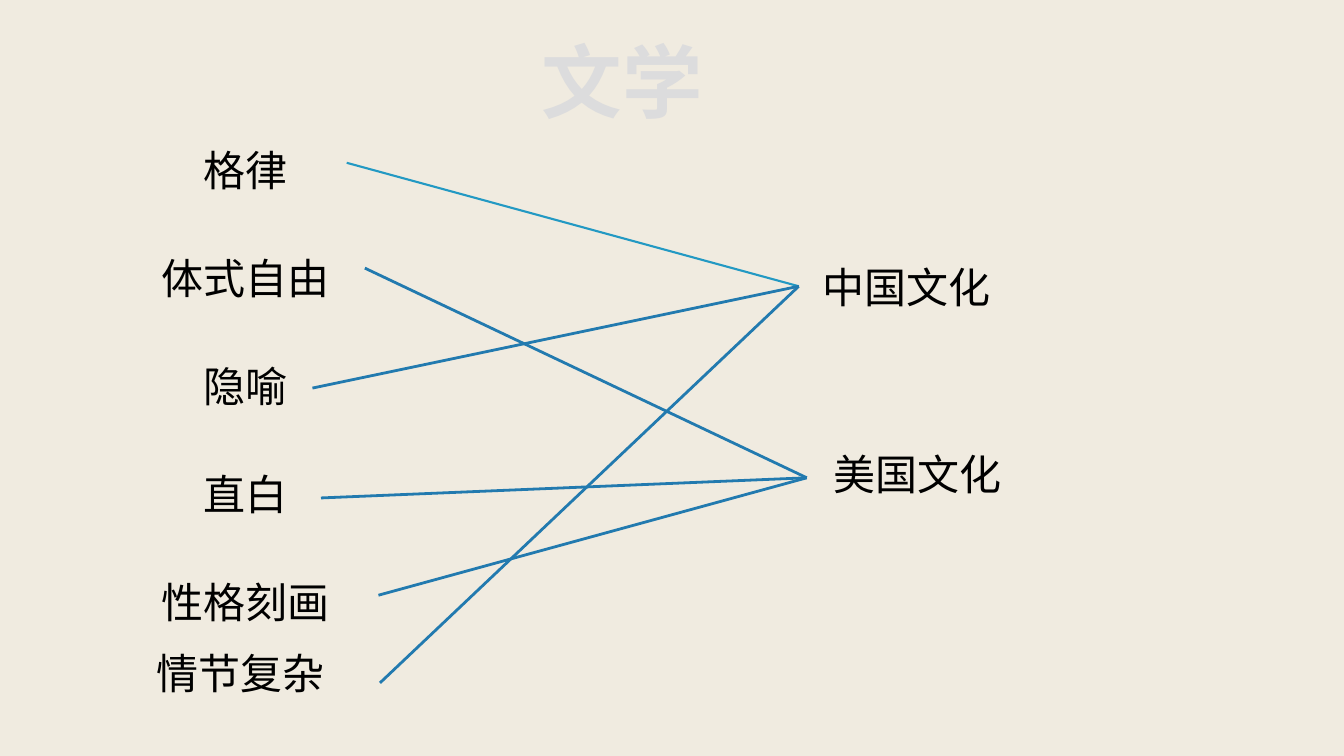
import dataclasses

import pptx
import pptx.dml.color
import pptx.enum.shapes
import pptx.enum.text
import pptx.oxml
import pptx.oxml.ns
import pptx.util

Inches = pptx.util.Inches
Pt = pptx.util.Pt
Anchor = pptx.enum.text.MSO_ANCHOR


@dataclasses.dataclass(frozen=True)
class Theme:
    background: str = "F0EBE0"
    title: str = "DCDCDD"
    text: str = "000000"
    link: str = "227AAF"
    first_link: str = "2399C3"
    font: str = "Calibri"
    title_size: int = 115
    text_size: int = 60


THEME = Theme()


def rgb(value):
    return pptx.dml.color.RGBColor.from_string(value)


def write(shape, lines, size, color, bold=False, spacing=1.0,
          inset=0.06, anchor=Anchor.MIDDLE):
    """Fill a shape with centred paragraphs of one style."""
    frame = shape.text_frame
    frame.word_wrap = True
    frame.auto_size = pptx.enum.text.MSO_AUTO_SIZE.NONE
    frame.vertical_anchor = anchor
    frame.margin_left = frame.margin_right = Inches(inset)
    frame.margin_top = frame.margin_bottom = Inches(min(inset, 0.06))
    frame.text = "\n".join(lines)
    for index, paragraph in enumerate(frame.paragraphs):
        paragraph.alignment = pptx.enum.text.PP_ALIGN.CENTER
        paragraph.line_spacing = spacing
        paragraph.space_before = Pt(10 if index else 0)
        font = paragraph.font
        font.size, font.bold, font.name = Pt(size), bold, THEME.font
        font.color.rgb = rgb(color)
        # East Asian characters use the same typeface
        latin = paragraph._p.pPr.find(".//" + pptx.oxml.ns.qn("a:latin"))
        latin.addnext(pptx.oxml.parse_xml(
            '<a:ea %s typeface="%s"/>' % (pptx.oxml.ns.nsdecls("a"), THEME.font)))


def add_title(slide, box, text):
    title = slide.shapes.title
    title.left, title.top, title.width, title.height = map(Inches, box)
    write(title, [text], THEME.title_size, THEME.title, bold=True)


def add_terms(slide, box, lines, **style):
    terms = slide.shapes.add_textbox(*map(Inches, box))
    write(terms, lines, THEME.text_size, THEME.text, **style)
    return terms


def add_link(slide, start, end, color=THEME.link, width=4, culture=None):
    """Draw a line from a feature, joined to a culture's left side if given."""
    link = slide.shapes.add_connector(
        pptx.enum.shapes.MSO_CONNECTOR.STRAIGHT, *map(Inches, start + end))
    if culture is not None:
        link.end_connect(culture, 1)
    link.line.color.rgb = rgb(color)
    link.line.width = Pt(width)
    link._element.spPr.append(pptx.oxml.parse_xml(
        "<a:effectLst %s/>" % pptx.oxml.ns.nsdecls("a")))


def build_literature(slide, box):
    """Matching exercise: literary features linked to two cultures."""
    left, top, width, height = box

    def at(x, y):
        return left + x, top + y

    add_title(slide, (*at(8.35, 0.55), 8, 2.1), "文学")

    # Features on the left
    add_terms(slide, (*at(0.86, 3.64), 8.01, 7.03),
              ["格律", "体式自由", "隐喻", "直白", "性格刻画"], spacing=2.0)
    add_terms(slide, (*at(-0.53, 12.78), 10.62, 1.11), ["情节复杂"],
              inset=0.1, anchor=Anchor.TOP)

    # Cultures on the right
    china = add_terms(slide, (*at(15.85, 5.12), 4.27, 1.12), ["中国文化"])
    add_terms(slide, (*at(14.51, 8.84), 7.41, 1.12), ["美国文化"])

    # Links from each feature to its culture
    china_end, america_end = at(15.85, 5.68), at(16.01, 9.48)
    add_link(slide, at(6.88, 3.23), china_end, THEME.first_link, 3, china)
    for start in ((6.2, 7.7), (7.54, 13.55)):
        add_link(slide, at(*start), china_end, culture=china)
    for start in ((7.24, 5.32), (6.37, 9.88), (7.51, 11.81)):
        add_link(slide, at(*start), america_end)


def main():
    deck = pptx.Presentation()
    deck.slide_width, deck.slide_height = Inches(26.67), Inches(15)
    slide = deck.slides.add_slide(deck.slide_layouts[5])
    slide.background.fill.solid()
    slide.background.fill.fore_color.rgb = rgb(THEME.background)
    build_literature(slide, (0, 0, 26.67, 15))
    deck.save("out.pptx")


if __name__ == "__main__":
    main()
